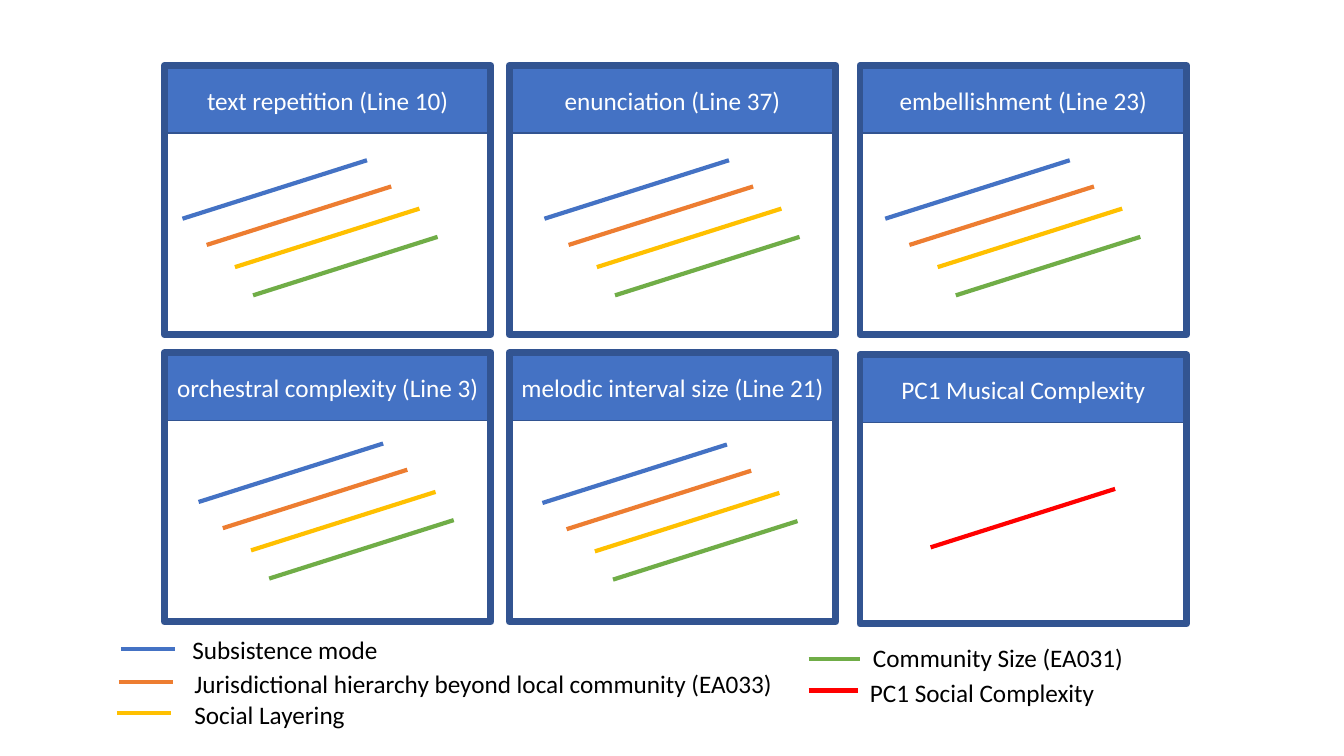
"""Build a slide of six trend panels for musical complexity with a colour legend."""
from lxml.etree import SubElement
from pptx import Presentation
from pptx.dml.color import RGBColor
from pptx.enum.shapes import MSO_CONNECTOR, MSO_SHAPE
from pptx.enum.text import MSO_ANCHOR, PP_ALIGN
from pptx.oxml.ns import qn
from pptx.util import Pt

PX = 9144
COLORS = {
    "blue": "4472C4", "orange": "ED7D31", "yellow": "FFC000", "green": "70AD47",
    "red": "FF0000", "border": "325491", "white": "FFFFFF", "black": "000000",
}
PANEL_W, PANEL_H, HEADER_H = 324, 267, 65
RISE = (183, -58)

PANELS = [
    ("text repetition (Line 10)", 163, 65, (181, 217)),
    ("enunciation (Line 37)", 505, 65, (540, 217)),
    ("embellishment (Line 23)", 853, 65, (878, 217)),
    ("orchestral complexity (Line 3)", 163, 350, (197, 498)),
    ("melodic interval size (Line 21)", 505, 350, (538, 499)),
    ("PC1 Musical Complexity", 853, 352, (923, 543)),
]
TRENDS = [("blue", 0, 0), ("orange", 24, 26), ("yellow", 52, 48), ("green", 70, 76)]
LEGEND = [
    ("Subsistence mode", "blue", 120, 644, 54, 181, 624, 217),
    ("Jurisdictional hierarchy beyond local community (EA033)",
     "orange", 118, 677, 54, 183, 658, 608),
    ("Social Layering", "yellow", 116, 707, 54, 183, 689, 217),
    ("Community Size (EA031)", "green", 802, 654, 51, 856, 632, 321),
    ("PC1 Social Complexity", "red", 802, 685, 49, 853, 667, 279),
]

prs = Presentation()
prs.slide_width, prs.slide_height = 1333 * PX, 750 * PX
slide = prs.slides.add_slide(prs.slide_layouts[6])
shapes = slide.shapes


def add_line(x, y, dx, dy, color):
    line = shapes.add_connector(
        MSO_CONNECTOR.STRAIGHT, x * PX, y * PX, (x + dx) * PX, (y + dy) * PX)
    line.line.color.rgb = RGBColor.from_string(COLORS[color])
    line.line.width = Pt(3)
    SubElement(line._element.spPr, qn("a:effectLst"))


def set_text(sp, text, color):
    tf = sp.text_frame
    tf.word_wrap = True
    tf.text = text
    font = tf.paragraphs[0].runs[0].font
    font.name, font.size = "Calibri", Pt(18)
    font.color.rgb = RGBColor.from_string(COLORS[color])
    return tf


for title, x, y, (start_x, start_y) in PANELS:
    header = shapes.add_shape(
        MSO_SHAPE.RECTANGLE, x * PX, (y + 2) * PX, PANEL_W * PX, HEADER_H * PX)
    header.fill.solid()
    header.fill.fore_color.rgb = RGBColor.from_string(COLORS["blue"])
    tf = set_text(header, title, "white")
    tf.vertical_anchor = MSO_ANCHOR.MIDDLE
    tf.paragraphs[0].alignment = PP_ALIGN.CENTER
    frame = shapes.add_shape(
        MSO_SHAPE.RECTANGLE, x * PX, y * PX, PANEL_W * PX, PANEL_H * PX)
    frame.fill.background()
    for sp, width in ((header, 1), (frame, 5)):
        sp.shadow.inherit = False
        sp.line.color.rgb = RGBColor.from_string(COLORS["border"])
        sp.line.width = Pt(width)
    trends = [("red", 0, 0)] if title.startswith("PC1") else TRENDS
    for color, dx, dy in trends:
        add_line(start_x + dx, start_y + dy, *RISE, color)

for label, color, x, y, length, text_x, text_y, text_w in LEGEND:
    add_line(x, y, length, 0, color)
    box = shapes.add_textbox(text_x * PX, text_y * PX, text_w * PX, 40 * PX)
    set_text(box, label, "black")

prs.save("out.pptx")
